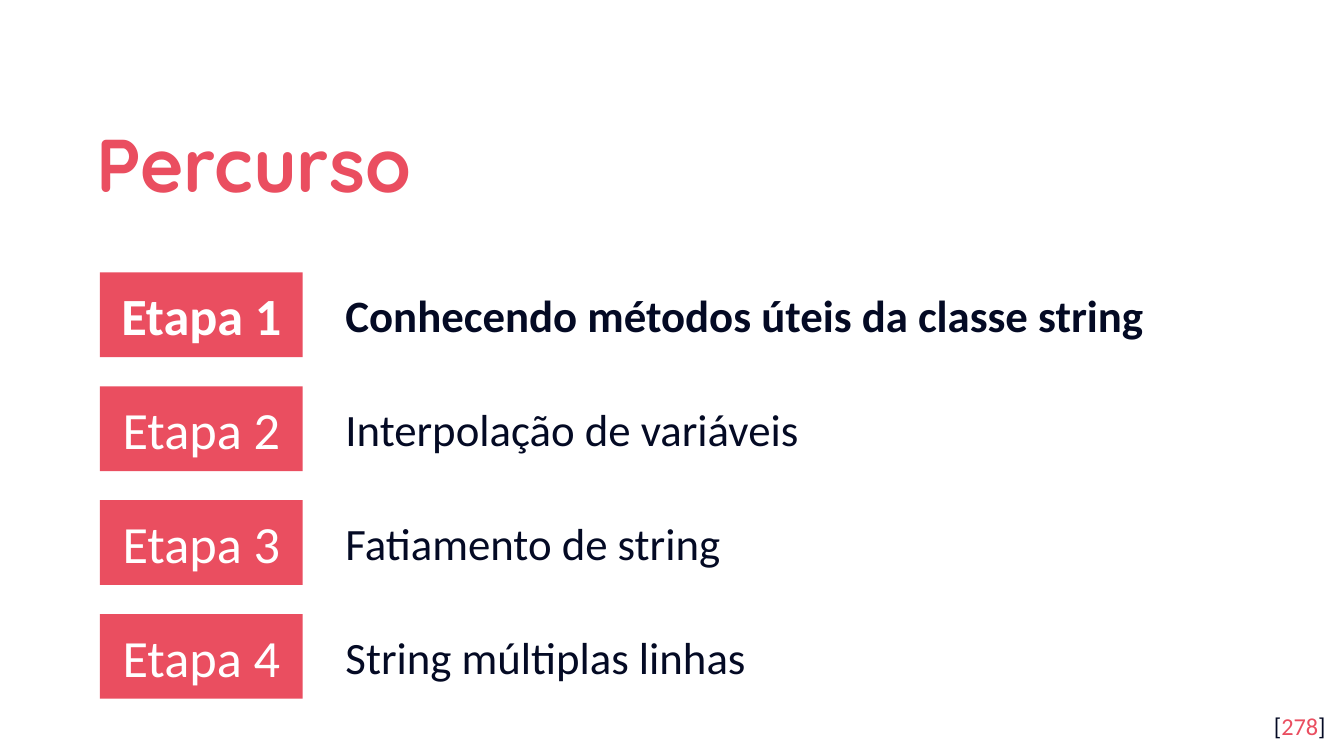
from pptx import Presentation
from pptx.dml.color import RGBColor
from pptx.enum.shapes import MSO_SHAPE
from pptx.enum.text import MSO_ANCHOR, PP_ALIGN
from pptx.util import Pt

RECT = MSO_SHAPE.RECTANGLE
TOP, MIDDLE = MSO_ANCHOR.TOP, MSO_ANCHOR.MIDDLE
LEFT, CENTER, RIGHT = PP_ALIGN.LEFT, PP_ALIGN.CENTER, PP_ALIGN.RIGHT
CORAL, NAVY, WHITE = "EA4E60", "040A24", "FFFFFF"
STAGES = [
    "Conhecendo métodos úteis da classe string",
    "Interpolação de variáveis",
    "Fatiamento de string",
    "String múltiplas linhas",
]
CURRENT_STAGE = 1
FIRST_TOP, ROW_PITCH = 146, 61


def rgb(value):
    return RGBColor.from_string(value)


class Deck:
    def __init__(self, prs):
        self.font = "Calibri"
        self.s = prs.slides.add_slide(prs.slide_layouts[6])
        fill = self.s.background.fill
        fill.solid()
        fill.fore_color.rgb = rgb(WHITE)

    def set_text(self, sp, runs, size, align=LEFT, anchor=TOP, pad=7.2,
                 spacing=1.0, **font):
        tf = sp.text_frame
        frame = {"word_wrap": True, "vertical_anchor": anchor,
                 "margin_left": Pt(7.2), "margin_right": Pt(7.2),
                 "margin_top": Pt(pad), "margin_bottom": Pt(pad)}
        for name, value in frame.items():
            setattr(tf, name, value)
        p = tf.paragraphs[0]
        p.alignment, p.line_spacing = align, spacing
        for text, color in runs:
            r = p.add_run()
            r.text = text
            style = {"name": self.font, "size": Pt(size), **font}
            for name, value in style.items():
                setattr(r.font, name, value)
            r.font.color.rgb = rgb(color)

    def text(self, box, runs, size, **style):
        sp = self.s.shapes.add_textbox(*map(Pt, box))
        self.set_text(sp, runs, size, **style)

    def label(self, box, text, size, **style):
        sp = self.s.shapes.add_shape(RECT, *map(Pt, box))
        sp.shadow.inherit = False
        sp.fill.solid()
        sp.fill.fore_color.rgb = rgb(CORAL)
        sp.line.fill.background()
        self.set_text(sp, [(text, WHITE)], size, align=CENTER, anchor=MIDDLE, **style)


def main():
    prs = Presentation()
    prs.slide_width, prs.slide_height = Pt(720), Pt(405)
    deck = Deck(prs)
    deck.text((44.6, 50.4, 583.2, 66.2), [("Percurso", CORAL)], 40,
              anchor=MIDDLE, spacing=1.15, name="Quicksand", bold=True)
    for number, topic in enumerate(STAGES, 1):
        top = FIRST_TOP + (number - 1) * ROW_PITCH
        bold = number == CURRENT_STAGE
        deck.label((53.5, top, 108.7, 45.4), f"Etapa {number}", 28, bold=bold)
        deck.text((178, top + 4.6, 486, 36), [(topic, NAVY)], 24, pad=3.6, bold=bold)
    deck.text((674, 373.7, 43.2, 31), [("[", NAVY), ("278", CORAL), ("]", NAVY)],
              13, align=RIGHT)
    prs.save("out.pptx")


if __name__ == "__main__":
    main()
